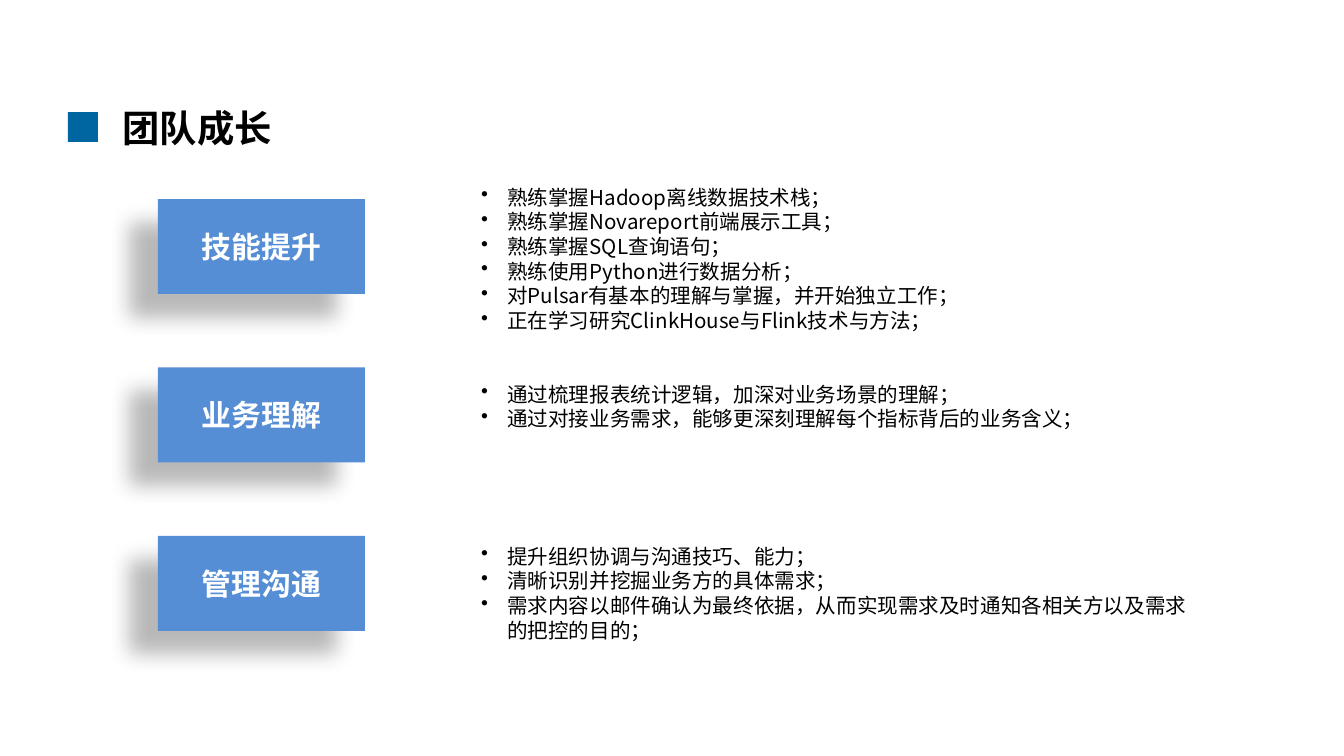
from dataclasses import dataclass
from typing import Any

import pptx
import pptx.dml.color
import pptx.enum.shapes
import pptx.enum.text
import pptx.oxml
import pptx.oxml.ns
import pptx.util
from lxml import etree

RGBColor = pptx.dml.color.RGBColor
BLACK = RGBColor(0x00, 0x00, 0x00)
WHITE = RGBColor(0xFF, 0xFF, 0xFF)
NAVY = RGBColor(0x00, 0x66, 0xA1)
BLUE = RGBColor(0x55, 0x8E, 0xD5)

FONT = "Noto Sans CJK SC"
RECTANGLE = pptx.enum.shapes.MSO_SHAPE.RECTANGLE
ALIGN = pptx.enum.text.PP_ALIGN
ANCHOR = pptx.enum.text.MSO_ANCHOR
qn = pptx.oxml.ns.qn

EMU_PER_PX = 914400 / 134.4
SQUARE = 15
LABEL_TOP, LABEL_STEP = 199, 168.5
INDENT = 26


def px(n: float) -> pptx.util.Emu:
    return pptx.util.Emu(round(n * EMU_PER_PX))


@dataclass
class Topic:
    label: str
    top: int
    height: int
    points: tuple[str, ...]


TOPICS = (
    Topic("技能提升", 178, 163, (
        "熟练掌握Hadoop离线数据技术栈；",
        "熟练掌握Novareport前端展示工具；",
        "熟练掌握SQL查询语句；",
        "熟练使用Python进行数据分析；",
        "对Pulsar有基本的理解与掌握，并开始独立工作；",
        "正在学习研究ClinkHouse与Flink技术与方法；",
    )),
    Topic("业务理解", 375, 63, (
        "通过梳理报表统计逻辑，加深对业务场景的理解；",
        "通过对接业务需求，能够更深刻理解每个指标背后的业务含义；",
    )),
    Topic("管理沟通", 537, 113, (
        "提升组织协调与沟通技巧、能力；",
        "清晰识别并挖掘业务方的具体需求；",
        "需求内容以邮件确认为最终依据，从而实现需求及时通知各相关方以及需求的把控的目的；",
    )),
)


def add_bullet(p: Any) -> None:
    pPr = p._p.get_or_add_pPr()
    pPr.set("marL", str(px(INDENT)))
    pPr.set("indent", str(-px(INDENT)))
    etree.SubElement(pPr, qn("a:buChar")).set("char", "•")


def write(tf: Any, *lines: str, size: int, color: RGBColor = BLACK,
          bold: bool = False, align: Any = ALIGN.LEFT,
          anchor: Any = ANCHOR.MIDDLE, bullet: bool = False,
          spacing: Any = None) -> None:
    tf.word_wrap = True
    tf.auto_size = pptx.enum.text.MSO_AUTO_SIZE.NONE
    tf.vertical_anchor = anchor
    for i, line in enumerate(lines):
        p = tf.add_paragraph() if i else tf.paragraphs[0]
        if bullet:
            add_bullet(p)
        p.alignment = align
        p.space_before = pptx.util.Pt(0)
        p.line_spacing = spacing
        r = p.add_run()
        r.text = line
        r.font.name = FONT
        r.font.size = pptx.util.Pt(size)
        r.font.bold = bold
        r.font.color.rgb = color
        etree.SubElement(r._r.get_or_add_rPr(), qn("a:ea")).set("typeface", FONT)


def add_rect(shapes: Any, x: float, y: float, w: float, h: float,
             fill: RGBColor) -> Any:
    sp = shapes.add_shape(RECTANGLE, px(x), px(y), px(w), px(h))
    sp.shadow.inherit = False
    sp.fill.solid()
    sp.fill.fore_color.rgb = fill
    sp.line.fill.background()
    return sp


def add_shadow(sp: Any) -> None:
    shadow = etree.SubElement(
        sp._element.spPr.find(qn("a:effectLst")), qn("a:outerShdw"),
        blurRad=str(pptx.util.Pt(11.8)), dist=str(pptx.util.Pt(19.7)),
        dir=str(141 * 60000), algn="ctr", rotWithShape="0")
    color = etree.SubElement(shadow, qn("a:srgbClr"), val=str(BLACK))
    etree.SubElement(color, qn("a:alpha"), val="28000")


def add_marker(s: Any, x: int, y: int) -> None:
    group = s.shapes.add_group_shape()
    for row in range(2):
        for col in range(2):
            sp = add_rect(group.shapes, x + col * SQUARE, y + row * SQUARE,
                          SQUARE, SQUARE, NAVY)
            sp.line.color.rgb = NAVY
            sp.line.width = pptx.util.Pt(0.5)


def add_topic(s: Any, topic: Topic, index: int) -> None:
    sp = add_rect(s.shapes, 158, LABEL_TOP + index * LABEL_STEP, 207, 95, BLUE)
    add_shadow(sp)
    write(sp.text_frame, topic.label, size=16, color=WHITE, bold=True,
          align=ALIGN.CENTER)
    box = s.shapes.add_textbox(px(468), px(topic.top), px(735), px(topic.height))
    write(box.text_frame, *topic.points, size=11, anchor=ANCHOR.TOP,
          bullet=True, spacing=pptx.util.Pt(13.2))


def main() -> None:
    prs = pptx.Presentation()
    prs.slide_width, prs.slide_height = px(1344), px(756)
    s = prs.slides.add_slide(prs.slide_layouts[5])
    title = s.shapes.title
    title.left, title.top, title.width, title.height = px(109), px(98), px(879), px(59)
    write(title.text_frame, "团队成长", size=20, bold=True)
    add_marker(s, 68, 112)
    for index, topic in enumerate(TOPICS):
        add_topic(s, topic, index)
    prs.save("out.pptx")


if __name__ == "__main__":
    main()
